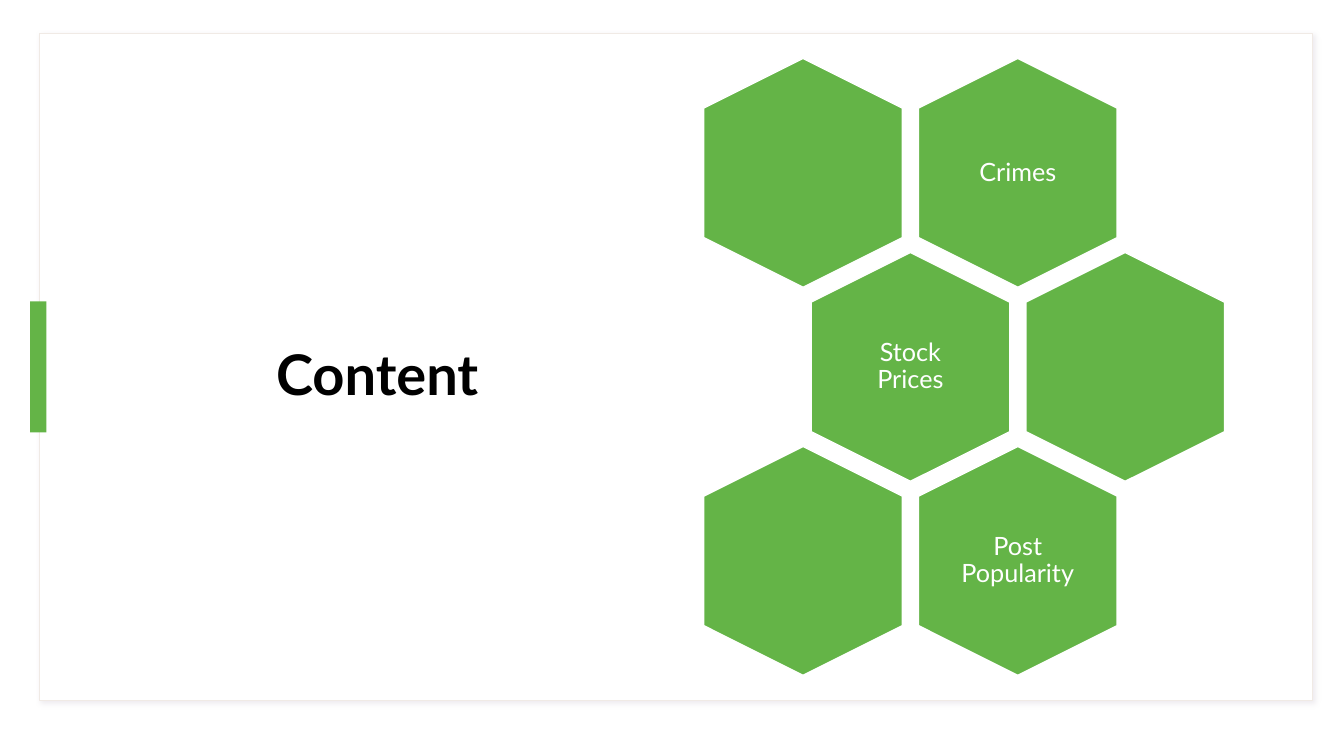
from lxml import etree
from pptx import Presentation
from pptx.dml.color import RGBColor
from pptx.enum.shapes import MSO_SHAPE as Shape
from pptx.enum.text import MSO_ANCHOR as Anchor, PP_ALIGN as Align
from pptx.oxml import parse_xml
from pptx.oxml.ns import nsdecls
from pptx.util import Inches, Pt

GREEN, WHITE, BLACK = "64B447", "FFFFFF", "000000"
EDGE, SHADE = "F0EAE5", "C5BCCA"

# Hexagon grid: labels by row, odd rows shifted half a step
ROWS = [["", "Crimes"], ["Stock Prices", ""], ["", "Post Popularity"]]
LEFT, TOP = 6.83, 0.73
STEP_X, STEP_Y = 2.13, 1.925
HEX_W, HEX_H = 2.27, 1.97
TAG_W, TAG_H = 1.36, 1.56


def rgb(code):
    return RGBColor.from_string(code)


def assign(item, values):
    for name, value in values.items():
        setattr(item, name, value)


def add_form(slide, kind, box, fill, line=None):
    form = slide.shapes.add_shape(kind, *map(Inches, box))
    form.shadow.inherit = False
    form.fill.solid()
    form.fill.fore_color.rgb = rgb(fill)
    if line:
        form.line.color.rgb = rgb(line)
        form.line.width = Pt(1)
    else:
        form.line.fill.background()
    return form


def add_shade(form, code):
    # Soft shadow towards the lower right
    glow = parse_xml(
        f'<a:outerShdw {nsdecls("a")} blurRad="{Pt(4)}" dist="{Pt(3)}" '
        f'dir="2700000" algn="tl" rotWithShape="0"><a:srgbClr val="{code}">'
        '<a:alpha val="30000"/></a:srgbClr></a:outerShdw>')
    form.element.spPr.find("{*}effectLst").append(glow)


def add_text(slide, box, text, size, code, align, inset, bold=False):
    frame = slide.shapes.add_textbox(*map(Inches, box)).text_frame
    assign(frame, {"word_wrap": True, "vertical_anchor": Anchor.MIDDLE})
    if inset is not None:
        sides = ("left", "right", "top", "bottom")
        assign(frame, {f"margin_{side}": Inches(inset) for side in sides})
    para = frame.paragraphs[0]
    assign(para, {"alignment": align, "line_spacing": 0.9})
    run = para.add_run()
    run.text = text
    assign(run.font, {"name": "Lato", "size": Pt(size), "bold": bold})
    run.font.color.rgb = rgb(code)


def add_cell(slide, row, col, label):
    x = LEFT + STEP_X * (col + row % 2 / 2)
    y = TOP + STEP_Y * row
    cell = add_form(slide, Shape.HEXAGON, (x, y, HEX_W, HEX_H), GREEN, WHITE)
    cell.rotation = 90
    cell.adjustments[0] = 0.25
    if label:
        box = (x + (HEX_W - TAG_W) / 2, y + (HEX_H - TAG_H) / 2, TAG_W, TAG_H)
        add_text(slide, box, label, 18, WHITE, Align.CENTER, 0.07)


def main():
    deck = Presentation()
    assign(deck, {"slide_width": Inches(13.33), "slide_height": Inches(7.5)})
    slide = deck.slides.add_slide(deck.slide_layouts[6])

    # Card with its accent bar
    card = add_form(slide, Shape.RECTANGLE, (0.39, 0.33, 12.63, 6.62), WHITE, EDGE)
    add_shade(card, SHADE)
    add_form(slide, Shape.RECTANGLE, (0.3, 2.99, 0.16, 1.3), GREEN)

    # Title
    add_text(slide, (2.64, 3.1, 3.86, 1.29), "Content", 40, BLACK,
             Align.LEFT, None, bold=True)

    # Topics
    for row, labels in enumerate(ROWS):
        for col, label in enumerate(labels):
            add_cell(slide, row, col, label)

    deck.save("out.pptx")


if __name__ == "__main__":
    main()
